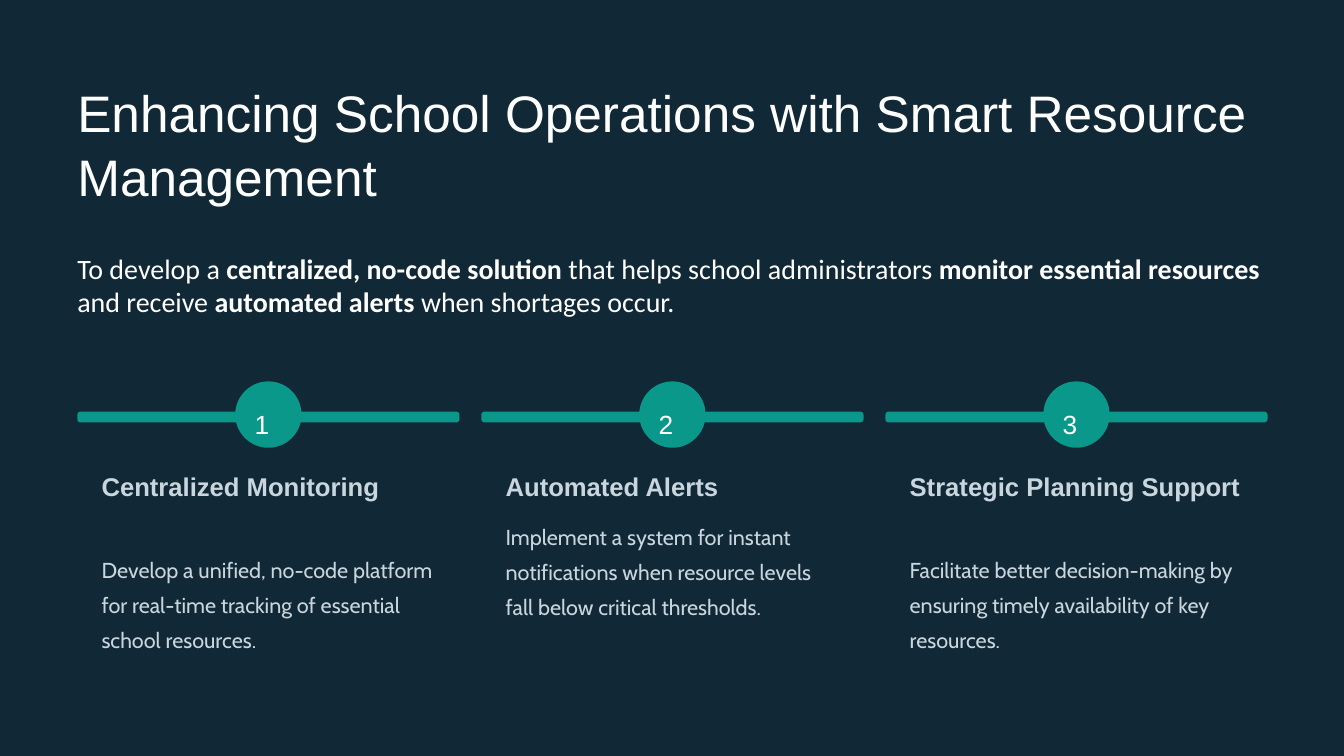
"""Build the school resource management slide with three numbered steps."""
from dataclasses import dataclass

from pptx import Presentation
from pptx import util as u
from pptx.dml.color import RGBColor
from pptx.enum import shapes, text

NAVY = RGBColor(0x11, 0x28, 0x36)
TEAL = RGBColor(0x0A, 0x98, 0x8B)
WHITE = RGBColor(0xFF, 0xFF, 0xFF)
MIST = RGBColor(0xCA, 0xD6, 0xDE)

LEFT = 0.92
CONTENT_WIDTH = 14.17
STEP_PITCH = 4.81
CARD_WIDTH = 4.55
CARD_INSET = 0.29
CARD_TEXT_WIDTH = 3.96


@dataclass(frozen=True)
class Step:
    heading: str
    body: str
    heading_height: float = 0.77
    body_top: float = 6.52


STEPS = (
    Step("Centralized Monitoring",
         "Develop a unified, no-code platform for real-time tracking of essential school resources."),
    Step("Automated Alerts",
         "Implement a system for instant notifications when resource levels fall below critical thresholds.",
         heading_height=0.38, body_top=6.13),
    Step("Strategic Planning Support",
         "Facilitate better decision-making by ensuring timely availability of key resources."),
)


def place(shape, left: float, top: float, width: float, height: float) -> None:
    shape.left, shape.top = u.Inches(left), u.Inches(top)
    shape.width, shape.height = u.Inches(width), u.Inches(height)


def write_text(slide, content: str, left: float, top: float, width: float, height: float, *,
               size: float, font: str = "Arial", color: RGBColor = WHITE,
               bold: bool = False, spacing: float | None = None, shape=None) -> None:
    if shape is None:
        shape = slide.shapes.add_textbox(0, 0, 0, 0)
    place(shape, left, top, width, height)
    frame = shape.text_frame
    frame.word_wrap = True
    frame.auto_size = text.MSO_AUTO_SIZE.NONE
    frame.vertical_anchor = text.MSO_ANCHOR.TOP
    frame.margin_left = frame.margin_right = frame.margin_top = frame.margin_bottom = 0
    paragraph = frame.paragraphs[0]
    paragraph.alignment = text.PP_ALIGN.LEFT
    if spacing:
        paragraph.line_spacing = u.Pt(spacing)
    for index, part in enumerate(content.split("**")):
        run = paragraph.add_run()
        run.text = part
        run.font.name = font
        run.font.size = u.Pt(size)
        run.font.color.rgb = color
        run.font.bold = bold or index % 2 == 1


def add_rounded(slide, left: float, top: float, width: float, height: float, *,
                color: RGBColor, rounding: float) -> None:
    shape = slide.shapes.add_shape(shapes.MSO_SHAPE.ROUNDED_RECTANGLE, 0, 0, 0, 0)
    place(shape, left, top, width, height)
    shape.adjustments[0] = rounding
    shape.fill.solid()
    shape.fill.fore_color.rgb = color
    shape.line.fill.background()
    shape.shadow.inherit = False


def add_step(slide, index: int, step: Step) -> None:
    left = LEFT + index * STEP_PITCH
    text_left = left + CARD_INSET
    add_rounded(slide, left, 4.94, CARD_WIDTH, 3.13, color=NAVY, rounding=0.05)
    add_rounded(slide, left, 4.9, CARD_WIDTH, 0.13, color=TEAL, rounding=0.3)
    add_rounded(slide, left + 1.88, 4.54, 0.79, 0.79, color=TEAL, rounding=0.5)
    write_text(slide, str(index + 1), left + 2.11, 4.74, 0.31, 0.39, size=22.5, spacing=36)
    write_text(slide, step.heading, text_left, 5.59, CARD_TEXT_WIDTH, step.heading_height,
               size=22, color=MIST, bold=True, spacing=27.5)
    write_text(slide, step.body, text_left, step.body_top, CARD_TEXT_WIDTH, 1.26,
               size=18.5, font="Cabin", color=MIST, spacing=30)


def main() -> None:
    presentation = Presentation()
    presentation.slide_width, presentation.slide_height = u.Inches(16), u.Inches(9)
    slide = presentation.slides.add_slide(presentation.slide_layouts.get_by_name("Title Only"))
    slide.background.fill.solid()
    slide.background.fill.fore_color.rgb = NAVY
    write_text(slide, "Enhancing School Operations with Smart Resource Management",
               LEFT, 0.93, CONTENT_WIDTH, 1.54, size=44, spacing=55, shape=slide.shapes.title)
    write_text(slide, "To develop a **centralized, no-code solution** that helps school administrators "
               "**monitor essential resources** and receive **automated alerts** when shortages occur.",
               LEFT, 2.99, CONTENT_WIDTH, 1.26, size=24, font="Calibri")
    for index, step in enumerate(STEPS):
        add_step(slide, index, step)
    presentation.save("out.pptx")


if __name__ == "__main__":
    main()
